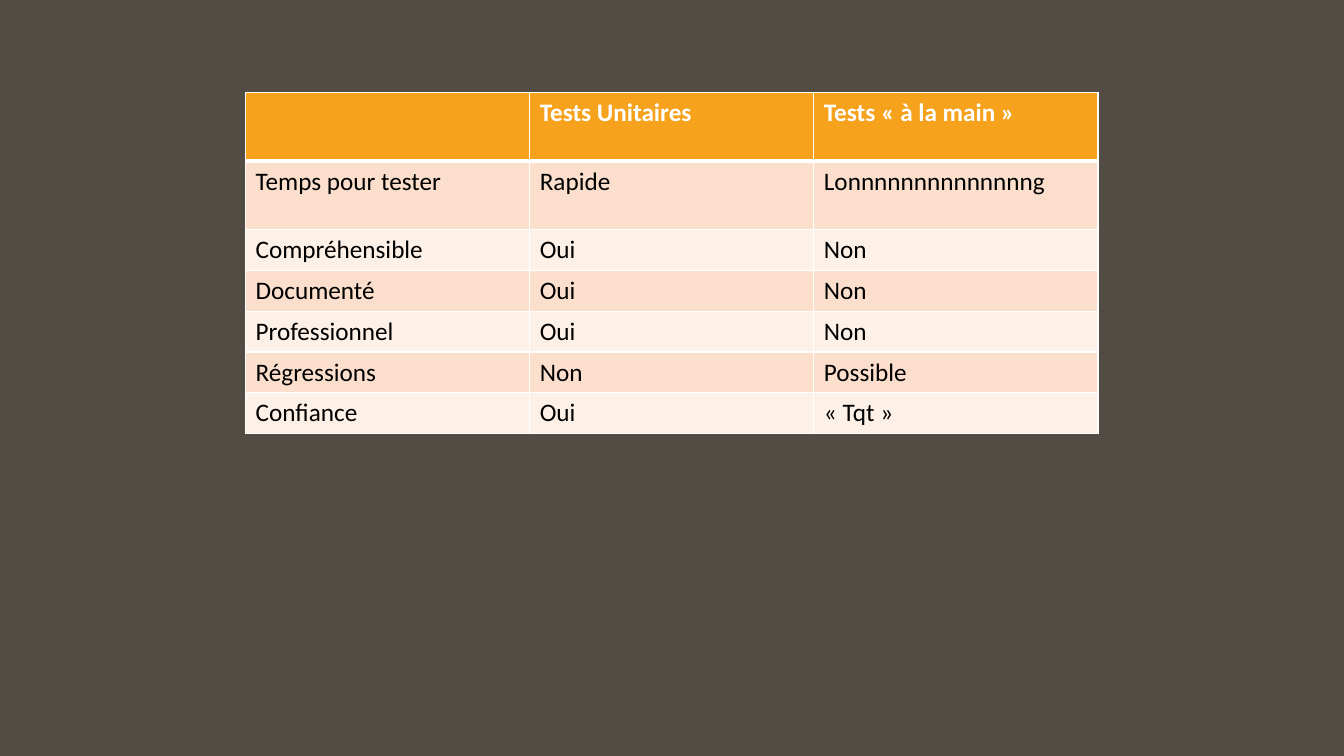
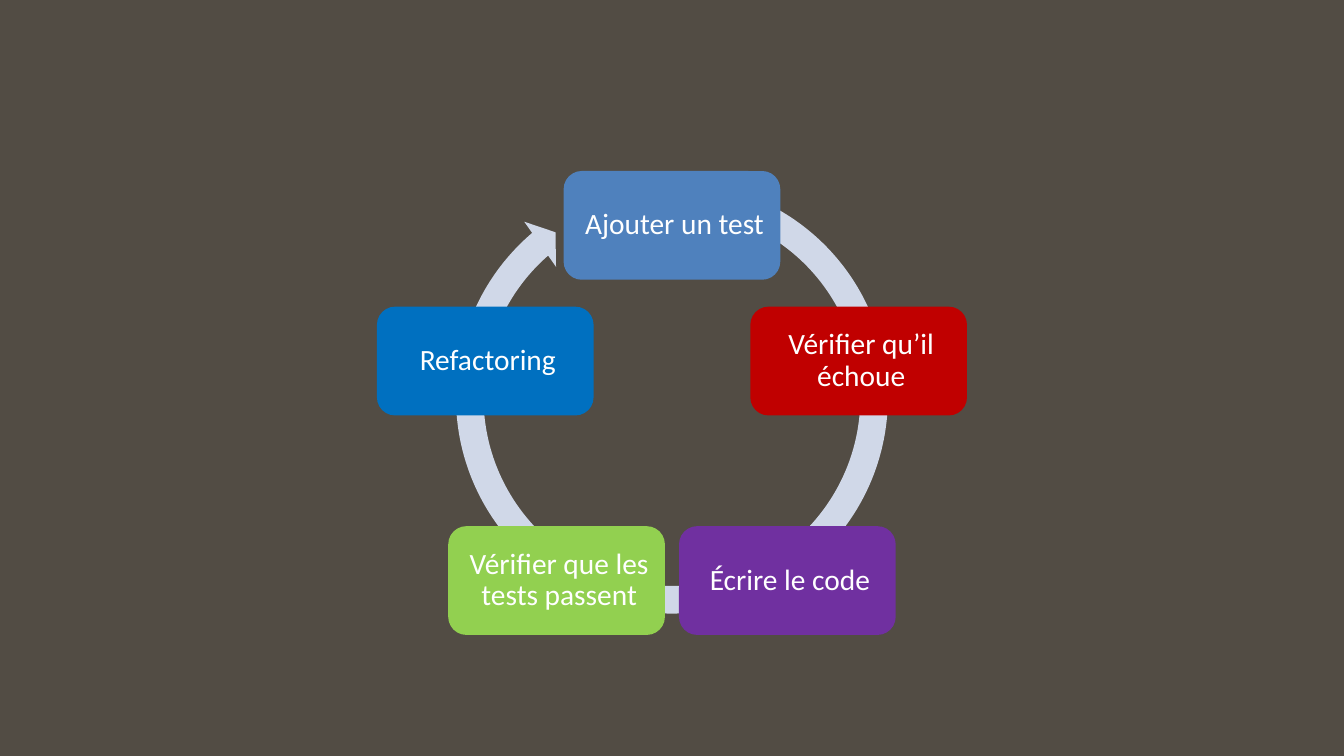
from dataclasses import dataclass
from math import cos, pi, sin

from lxml.etree import SubElement
from pptx import Presentation
from pptx.dml.color import RGBColor
from pptx.enum.shapes import MSO_SHAPE
from pptx.enum.text import MSO_ANCHOR, PP_ALIGN
from pptx.oxml.ns import qn
from pptx.util import Cm, Pt


@dataclass(frozen=True)
class Theme:
    """Colours, font and sizes shared by the slides."""
    font: str = "Calibri"
    background: str = "524C44"
    light: str = "FFFFFF"
    dark: str = "000000"
    header: str = "F6A21D"
    bands: tuple = ("FBDFCC", "FDF0E7")
    ring: str = "D0D8E8"
    table_size: float = 18
    step_size: float = 21
    thin: float = 0.96
    thick: float = 3


@dataclass(frozen=True)
class Box:
    """Region of a slide, in centimetres."""
    left: float
    top: float
    width: float
    height: float

    def emu(self):
        """Return the four lengths for python-pptx."""
        return Cm(self.left), Cm(self.top), Cm(self.width), Cm(self.height)


THEME = Theme()
COMPARISON = [
    ("", "Tests Unitaires", "Tests « à la main »"),
    ("Temps pour tester", "Rapide", "Lonnnnnnnnnnnnnng"),
    ("Compréhensible", "Oui", "Non"),
    ("Documenté", "Oui", "Non"),
    ("Professionnel", "Oui", "Non"),
    ("Régressions", "Non", "Possible"),
    ("Confiance", "Oui", "« Tqt »"),
]
ROW_HEIGHTS = [1.72, 1.72] + [0.99] * 5
STEPS = [
    ("Ajouter un test", "4F81BD"),
    ("Vérifier qu’il échoue", "C00000"),
    ("Écrire le code", "7030A0"),
    ("Vérifier que les tests passent", "92D050"),
    ("Refactoring", "0070C0"),
]
STEP_WIDTH, STEP_HEIGHT = 5.46, 2.74
RING_SIZE, RING_RISE = 11.58, 0.08
RING_ADJUSTMENTS = (0.06, 3.31, 137.59, 173.96, 0.06)


def paint(fill, color):
    """Give a fill one solid colour."""
    fill.solid()
    fill.fore_color.rgb = RGBColor.from_string(color)


def write(tf, text, *, size, color, bold=False, align=PP_ALIGN.LEFT,
          line_spacing=None, space_after=None):
    """Write one formatted paragraph into a text frame."""
    p = tf.paragraphs[0]
    p.alignment = align
    p.line_spacing = line_spacing
    p.space_after = space_after
    r = p.add_run()
    r.text = text
    r.font.name = THEME.font
    r.font.size = Pt(size)
    r.font.bold = bold
    r.font.color.rgb = RGBColor.from_string(color)


def add_slide(prs):
    """Add a blank slide with the shared background."""
    s = prs.slides.add_slide(prs.slide_layouts[6])
    paint(s.background.fill, THEME.background)
    return s


def add_borders(cell, top, bottom):
    """Draw the four cell borders; top and bottom are widths in points."""
    tc_pr = cell._tc.get_or_add_tcPr()
    widths = {"L": THEME.thin, "R": THEME.thin, "T": top, "B": bottom}
    for side, width in widths.items():
        ln = SubElement(tc_pr, qn(f"a:ln{side}"), w=str(int(Pt(width))))
        fill = SubElement(ln, qn("a:solidFill"))
        SubElement(fill, qn("a:srgbClr"), val=THEME.light)


def add_comparison(s, box):
    """Place the comparison table in its box."""
    columns = len(COMPARISON[0])
    table = s.shapes.add_table(len(COMPARISON), columns, *box.emu()).table
    table.horz_banding = False
    for column in table.columns:
        column.width = Cm(box.width / columns)
    for i, (row, height) in enumerate(zip(table.rows, ROW_HEIGHTS)):
        row.height = Cm(height)
        header = i == 0
        for cell, text in zip(row.cells, COMPARISON[i]):
            add_borders(cell, THEME.thick if i == 1 else THEME.thin,
                        THEME.thick if header else THEME.thin)
            paint(cell.fill, THEME.header if header else THEME.bands[(i - 1) % 2])
            if text:
                write(cell.text_frame, text, size=THEME.table_size, bold=header,
                      color=THEME.light if header else THEME.dark)


def add_flat_shape(s, kind, box, color):
    """Add a filled shape without outline or shadow."""
    sp = s.shapes.add_shape(kind, *box.emu())
    sp.shadow.inherit = False
    sp.line.fill.background()
    paint(sp.fill, color)
    return sp


def add_step(s, box, text, color):
    """Add one labelled step of the cycle."""
    sp = add_flat_shape(s, MSO_SHAPE.ROUNDED_RECTANGLE, box, color)
    tf = sp.text_frame
    tf.word_wrap = True
    tf.vertical_anchor = MSO_ANCHOR.MIDDLE
    tf.margin_left = tf.margin_top = tf.margin_bottom = Cm(0.36)
    tf.margin_right = Cm(0.23)
    write(tf, text, size=THEME.step_size, color=THEME.light,
          align=PP_ALIGN.CENTER, line_spacing=0.9, space_after=Pt(7.3))


def add_cycle(s, box):
    """Place the circular arrow and its steps in the box."""
    center = box.left + box.width / 2
    ring_box = Box(center - RING_SIZE / 2, box.top - RING_RISE, RING_SIZE, RING_SIZE)
    ring = add_flat_shape(s, MSO_SHAPE.CIRCULAR_ARROW, ring_box, THEME.ring)
    for i, value in enumerate(RING_ADJUSTMENTS):
        ring.adjustments[i] = value
    radius = (box.height - STEP_HEIGHT) / (1 + cos(pi / len(STEPS)))
    for i, (text, color) in enumerate(STEPS):
        angle = 2 * pi * i / len(STEPS)
        left = center + radius * sin(angle) - STEP_WIDTH / 2
        top = box.top + radius * (1 - cos(angle))
        add_step(s, Box(left, top, STEP_WIDTH, STEP_HEIGHT), text, color)


def main():
    """Build and save the presentation."""
    prs = Presentation()
    prs.slide_width, prs.slide_height = Cm(33.87), Cm(19.05)
    add_comparison(add_slide(prs), Box(6.19, 2.34, 21.48, sum(ROW_HEIGHTS)))
    add_cycle(add_slide(prs), Box(9.5, 4.31, 14.87, 11.69))
    prs.save("out.pptx")


if __name__ == "__main__":
    main()
